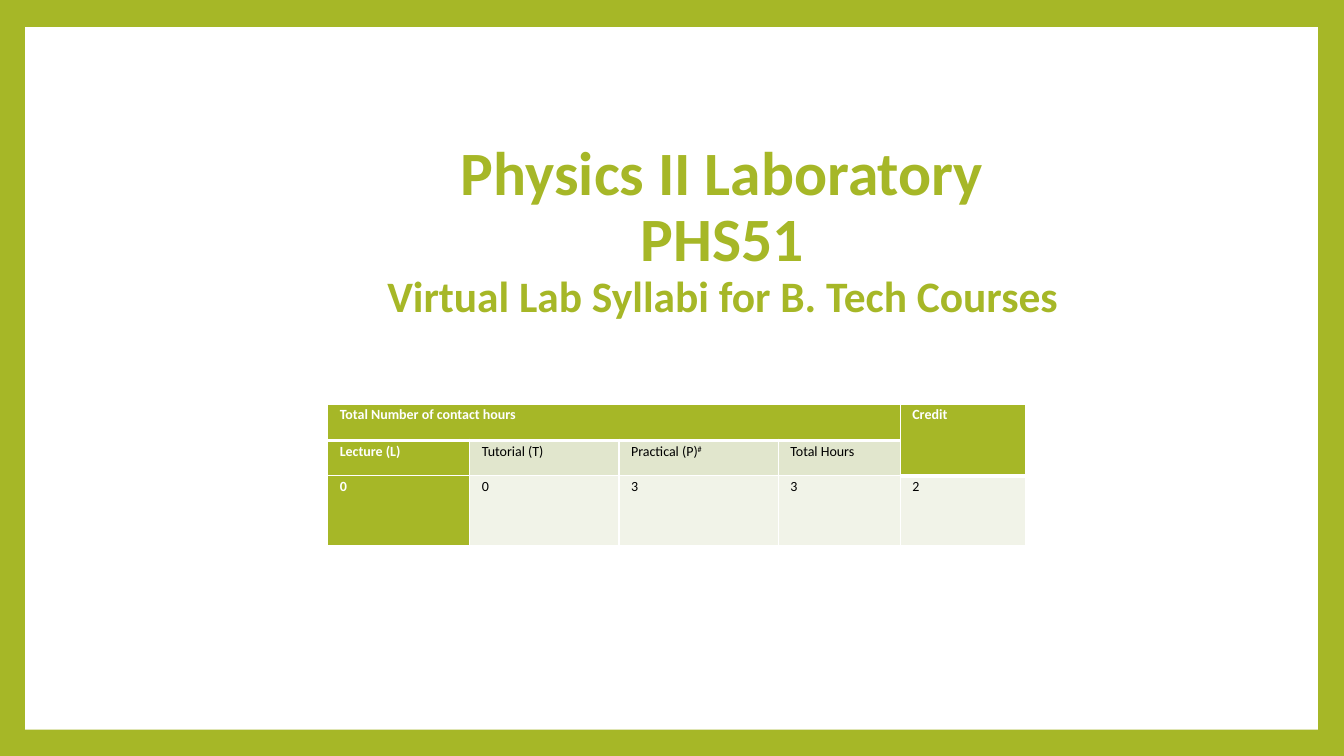
"""Build the title slide of the Physics II Laboratory syllabus."""
from lxml.etree import SubElement
from pptx import Presentation
from pptx.dml.color import RGBColor
from pptx.enum.shapes import MSO_SHAPE as Shape
from pptx.enum.text import MSO_ANCHOR as Anchor, MSO_AUTO_SIZE as AutoSize, PP_ALIGN as Align
from pptx.oxml import parse_xml
from pptx.oxml.ns import nsdecls, qn
from pptx.util import Inches, Pt

GREEN, WHITE, BLACK = "A6B727", "FFFFFF", "000000"
BODY_FILLS = {1: "E1E6CD", 2: "F1F3E8"}
FONT = "Calibri"
TITLE_LINES = [
    ("Physics II Laboratory", 44),
    ("PHS51", 44),
    ("Virtual Lab Syllabi for B. Tech Courses", 31),
]
COLUMN_WIDTHS = [1.41, 1.48, 1.58, 1.21, 1.24]
ROW_HEIGHTS = [0.36, 0.35, 0.69]
HOURS = [
    ["Total Number of contact hours", None, None, None, "Credit"],
    ["Lecture (L)", "Tutorial (T)", "Practical (P)#", "Total Hours", None],
    ["0", "0", "3", "3", "2"],
]
MERGES = [((0, 0), (0, 3)), ((0, 4), (1, 4))]
BELOW_HEADER = [(1, 0), (1, 1), (1, 2), (1, 3), (2, 4)]


def color(value):
    return RGBColor.from_string(value)


def style(span, size, value, bold):
    span.font.name = FONT
    span.font.size = Pt(size)
    span.font.bold = bold
    span.font.color.rgb = color(value)


def add_borders(cell, top, bottom):
    widths = {"L": 1, "R": 1, "T": top, "B": bottom}
    properties = cell._tc.get_or_add_tcPr()
    for place, (side, width) in enumerate(widths.items()):
        line = parse_xml(f'<a:ln{side} {nsdecls("a")} w="{Pt(width)}"/>')
        fill = SubElement(line, qn("a:solidFill"))
        SubElement(fill, qn("a:srgbClr"), val=WHITE)
        properties.insert(place, line)


def add_panel(page):
    panel = page.shapes.add_shape(
        Shape.RECTANGLE, Inches(0.25), Inches(0.27), Inches(12.82), Inches(6.97))
    panel.shadow.inherit = False
    panel.fill.solid()
    panel.fill.fore_color.rgb = color(WHITE)
    panel.line.fill.background()
    page.shapes._spTree.insert(2, panel._element)


def fill_title(title):
    title.left, title.top = Inches(1.85), Inches(1.23)
    title.width, title.height = Inches(10.63), Inches(2.61)
    box = title.text_frame
    box.text = "\n".join(text for text, _ in TITLE_LINES)
    box.word_wrap = True
    box.auto_size = AutoSize.NONE
    box.vertical_anchor = Anchor.MIDDLE
    box.margin_bottom = Inches(0.52)
    for para, (_, size) in zip(box.paragraphs, TITLE_LINES):
        para.alignment = Align.CENTER
        para.line_spacing = 0.9
        para.space_before = Pt(0)
        style(para.runs[0], size, GREEN, True)


def fill_cell(cell, text, row, column):
    strong = row == 0 or column == 0
    cell.margin_left = cell.margin_right = Inches(0.07)
    cell.margin_top = cell.margin_bottom = 0
    cell.fill.solid()
    cell.fill.fore_color.rgb = color(GREEN if strong or text is None else BODY_FILLS[row])
    add_borders(cell, 3 if (row, column) in BELOW_HEADER else 1, 3 if row == 0 else 1)
    if text is None:
        return
    para = cell.text_frame.paragraphs[0]
    para._p.get_or_add_pPr().set("marL", str(Inches(0.05)))
    para.line_spacing = 1.15
    label, mark, _ = text.partition("#")
    for part in filter(None, (label, mark)):
        span = para.add_run()
        span.text = part
        style(span, 10, WHITE if strong else BLACK, strong)
        if part == mark:
            span._r.get_or_add_rPr().set("baseline", "30000")


def add_hours_table(page):
    table = page.shapes.add_table(
        len(HOURS), len(COLUMN_WIDTHS), Inches(3.25), Inches(4.01),
        Inches(sum(COLUMN_WIDTHS)), Inches(sum(ROW_HEIGHTS))).table
    table.horz_banding = False
    for column, width in zip(table.columns, COLUMN_WIDTHS):
        column.width = Inches(width)
    for row, height in zip(table.rows, ROW_HEIGHTS):
        row.height = Inches(height)
    for first, last in MERGES:
        table.cell(*first).merge(table.cell(*last))
    for row, texts in enumerate(HOURS):
        for column, text in enumerate(texts):
            fill_cell(table.cell(row, column), text, row, column)


def main():
    deck = Presentation()
    deck.slide_width, deck.slide_height = Inches(13.33), Inches(7.5)
    page = deck.slides.add_slide(deck.slide_layouts[0])
    page.background.fill.solid()
    page.background.fill.fore_color.rgb = color(GREEN)
    subtitle = page.placeholders[1]._element
    subtitle.getparent().remove(subtitle)
    add_panel(page)
    fill_title(page.shapes.title)
    add_hours_table(page)
    deck.save("out.pptx")


if __name__ == "__main__":
    main()
